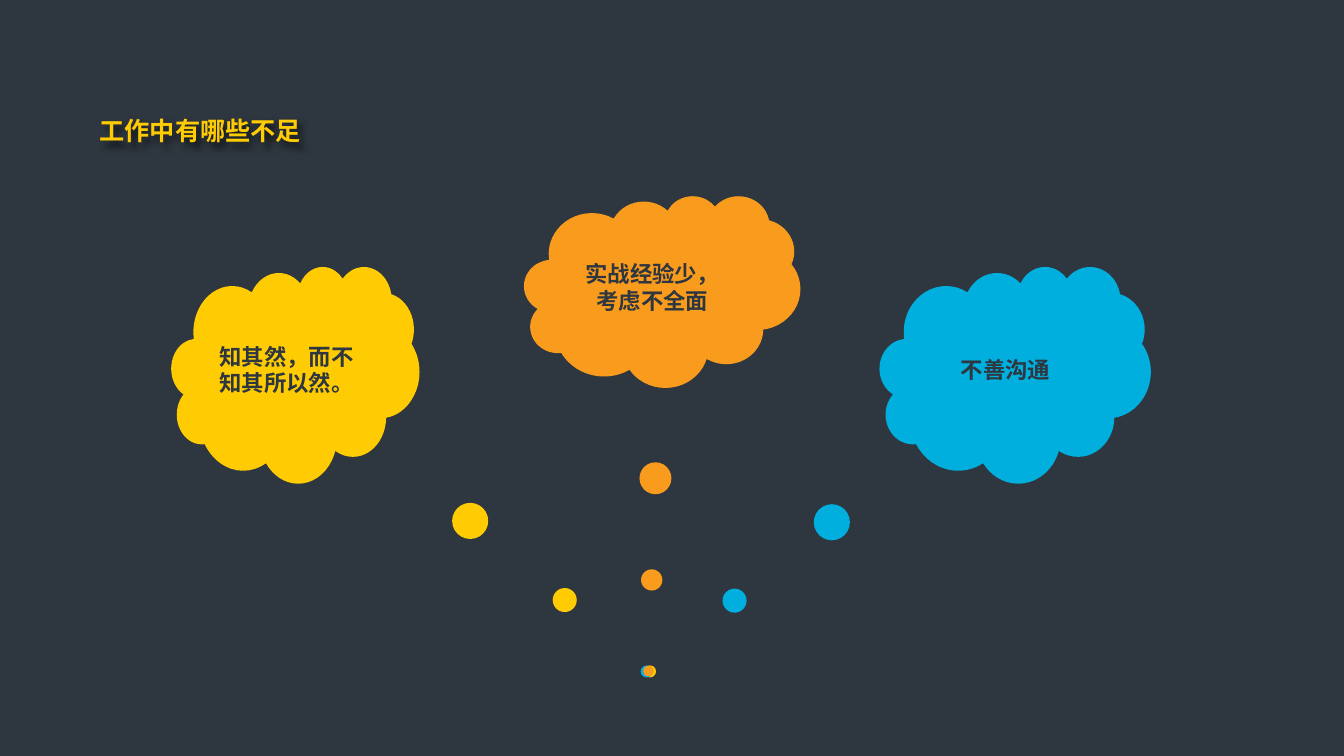
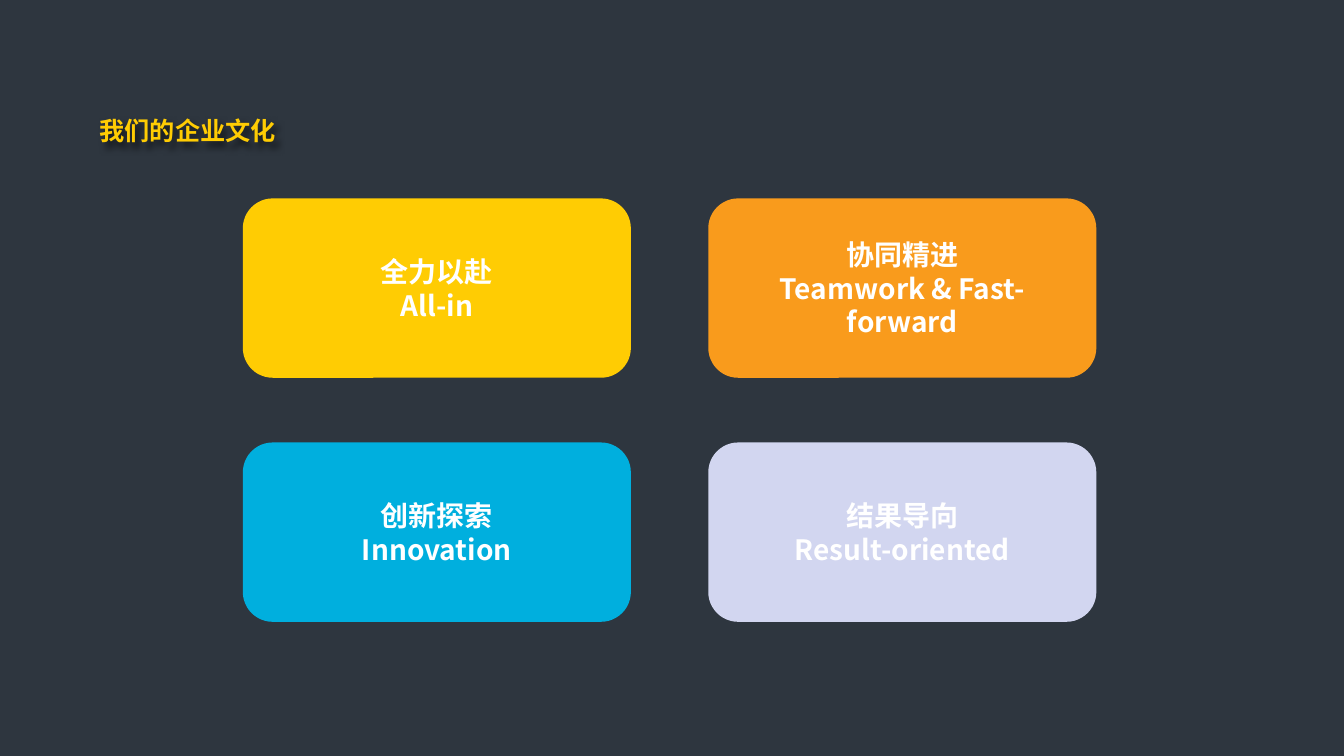
import pptx
import pptx.util
import pptx.dml.color
import pptx.enum.shapes
import pptx.enum.text
import pptx.oxml
import pptx.oxml.ns
import lxml.etree
from dataclasses import dataclass

Cm = pptx.util.Cm
Shapes = pptx.enum.shapes.MSO_SHAPE


@dataclass(frozen=True)
class Theme:
    background: str = "2E363F"
    yellow: str = "FFCC03"
    orange: str = "F99B1C"
    blue: str = "00AFDE"
    lavender: str = "D2D6F0"
    white: str = "FFFFFF"
    font: str = "Noto Sans CJK SC"
    title_size: int = 18
    cloud_size: int = 16
    card_size: int = 20


TITLE_SHADOW = (
    '<a:effectLst xmlns:a="http://schemas.openxmlformats.org/drawingml/2006/main">'
    '<a:outerShdw blurRad="50800" dist="50800" dir="2700000">'
    '<a:srgbClr val="000000"><a:alpha val="60000"/></a:srgbClr>'
    '</a:outerShdw></a:effectLst>'
)


class SlideBuilder:
    def __init__(self, deck, theme):
        self.deck = deck
        self.theme = theme
        self.page = None

    def color(self, value):
        return pptx.dml.color.RGBColor.from_string(value)

    def new_page(self, title):
        self.page = self.deck.slides.add_slide(self.deck.slide_layouts[6])
        fill = self.page.background.fill
        fill.solid()
        fill.fore_color.rgb = self.color(self.theme.background)
        self.title(title)

    def set_text(self, shape, text, size, color, align):
        frame = shape.text_frame
        frame.word_wrap = True
        frame.text = text
        for para in frame.paragraphs:
            para.alignment = align
            for span in para.runs:
                span.font.size = pptx.util.Pt(size)
                span.font.bold = True
                span.font.name = self.theme.font
                span.font.color.rgb = self.color(color)
                # East Asian glyphs need their own font entry
                east_asian = lxml.etree.SubElement(
                    span.font._element, pptx.oxml.ns.qn("a:ea"))
                east_asian.set("typeface", self.theme.font)

    def title(self, text):
        box = self.page.shapes.add_textbox(Cm(2.26), Cm(2.9), Cm(29.29), Cm(0.84))
        self.set_text(box, text, self.theme.title_size, self.theme.yellow,
                      pptx.enum.text.PP_ALIGN.LEFT)
        box.text_frame.margin_top = Cm(0.09)
        box.text_frame.margin_bottom = 0
        box.text_frame.paragraphs[0].line_spacing = 0.9
        box._element.spPr.append(pptx.oxml.parse_xml(TITLE_SHADOW))

    def block(self, kind, place, fill, text, size, color):
        shape = self.page.shapes.add_shape(kind, *[Cm(length) for length in place])
        shape.shadow.inherit = False
        shape.fill.solid()
        shape.fill.fore_color.rgb = self.color(fill)
        shape.line.fill.background()
        shape.text_frame.vertical_anchor = pptx.enum.text.MSO_ANCHOR.MIDDLE
        self.set_text(shape, text, size, color, pptx.enum.text.PP_ALIGN.CENTER)
        return shape

    def cloud(self, place, tail, fill, text):
        shape = self.block(Shapes.CLOUD_CALLOUT, place, fill, text,
                           self.theme.cloud_size, self.theme.background)
        shape.adjustments[0], shape.adjustments[1] = tail

    def card(self, place, fill, text):
        self.block(Shapes.ROUNDED_RECTANGLE, place, fill, text,
                   self.theme.card_size, self.theme.white)


deck = pptx.Presentation()
deck.slide_width, deck.slide_height = Cm(33.87), Cm(19.05)
theme = Theme()
builder = SlideBuilder(deck, theme)

# Shortcomings: three thought clouds whose tails meet at one point
builder.new_page("工作中有哪些不足")
builder.cloud((4.32, 6.71, 6.25, 5.46), (1.43, 1.37), theme.yellow,
              "知其然，而不知其所以然。")
builder.cloud((22.17, 6.71, 6.83, 5.46), (-1.36, 1.37), theme.blue, "不善沟通")
builder.cloud((13.21, 4.93, 6.96, 4.83), (-0.05, 1.98), theme.orange,
              "实战经验少，\n考虑不全面")

# Company culture: cards in a grid of two columns
builder.new_page("我们的企业文化")
values = [
    (theme.yellow, "全力以赴\nAll-in"),
    (theme.orange, "协同精进\nTeamwork & Fast-forward"),
    (theme.blue, "创新探索\nInnovation"),
    (theme.lavender, "结果导向\nResult-oriented"),
]
for index, (fill, text) in enumerate(values):
    row, column = divmod(index, 2)
    builder.card((6.12 + column * 11.73, 5 + row * 6.15, 9.78, 4.52), fill, text)

deck.save("out.pptx")
